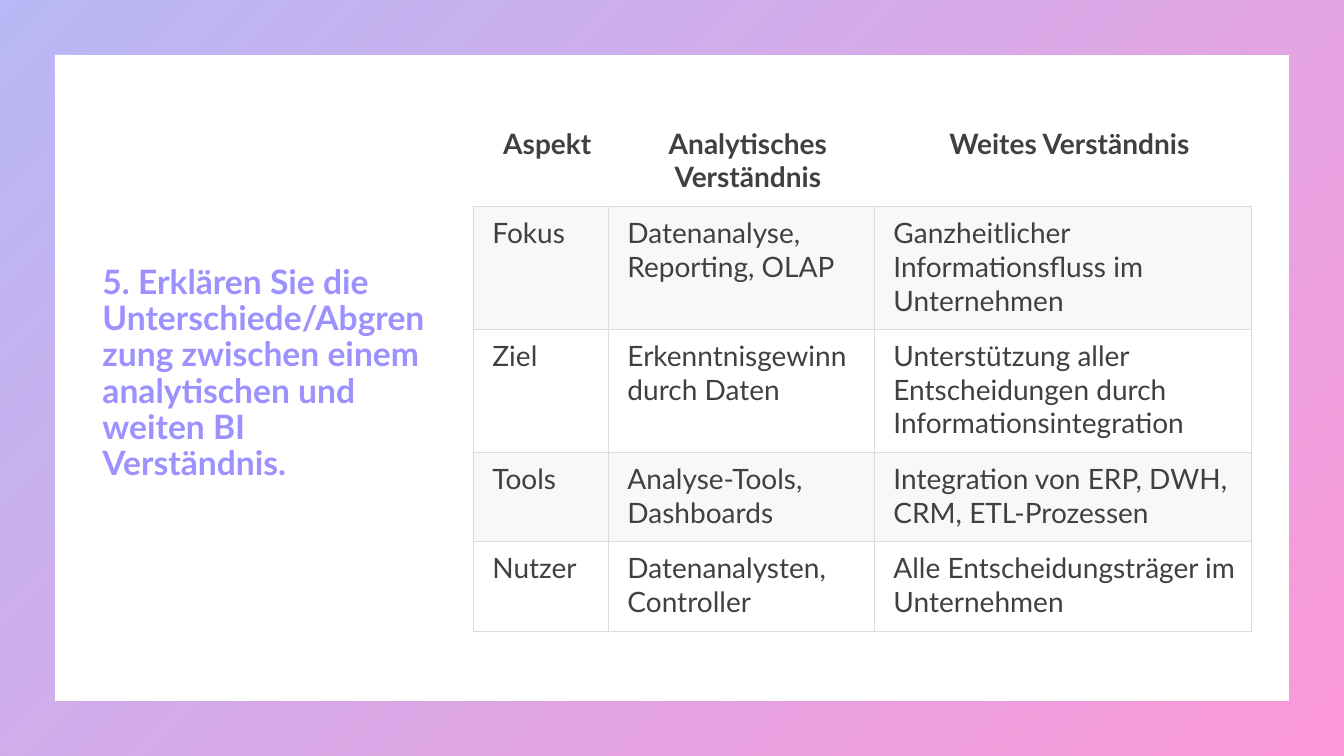
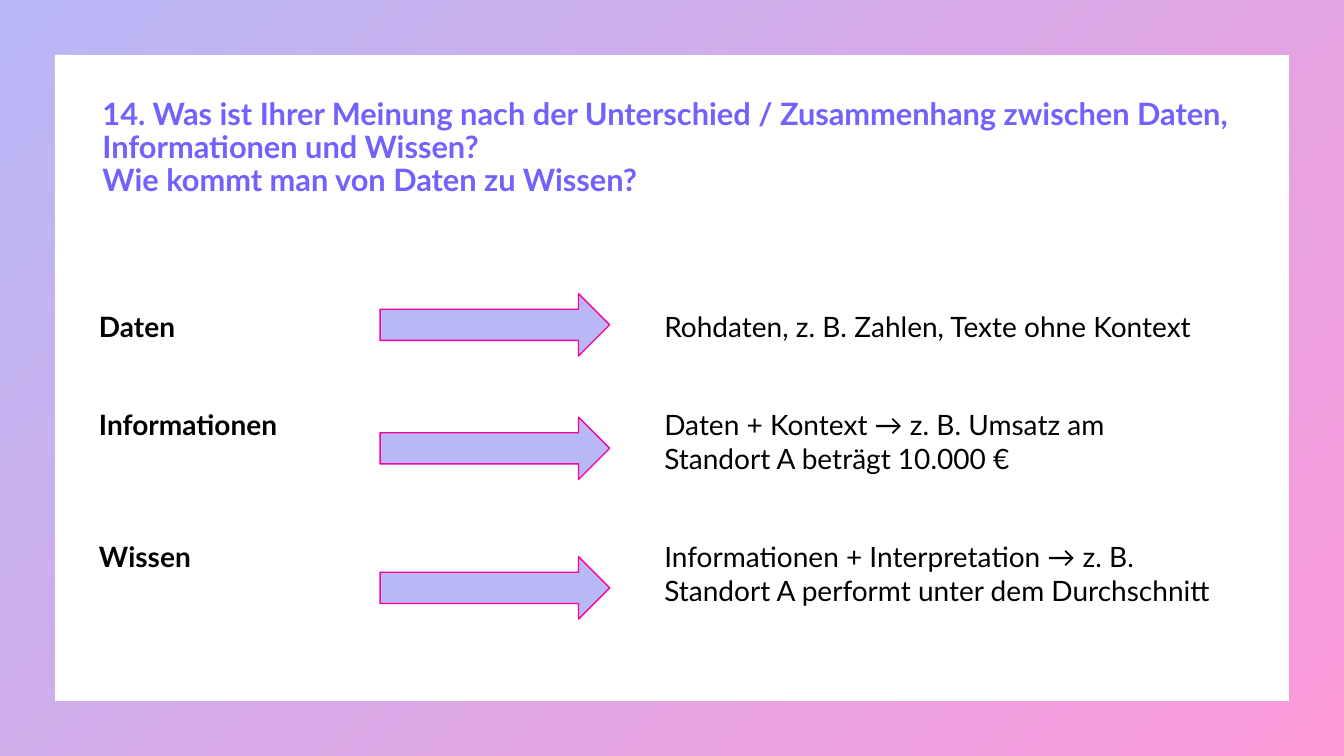
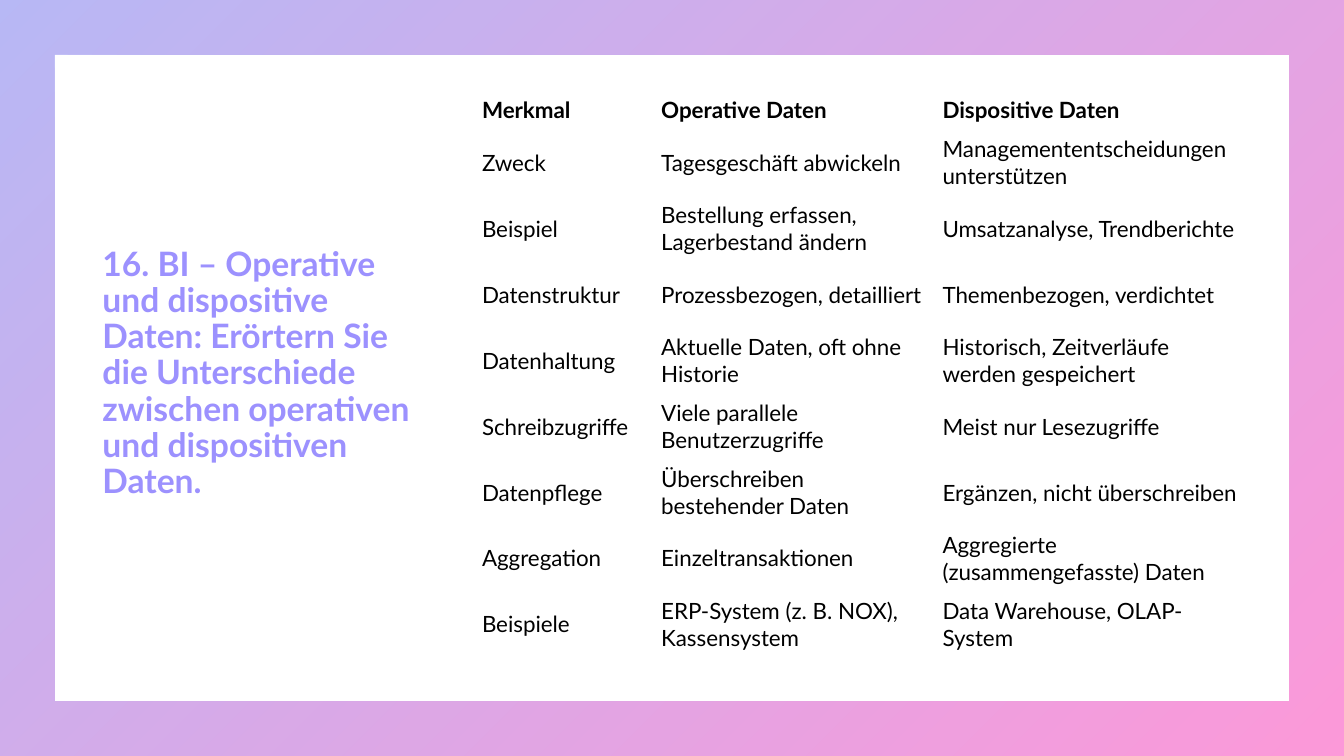
from lxml.etree import SubElement
from pptx import Presentation
from pptx.dml.color import RGBColor
from pptx.enum.shapes import MSO_SHAPE
from pptx.enum.text import MSO_ANCHOR, MSO_AUTO_SIZE, PP_ALIGN
from pptx.oxml.ns import qn
from pptx.util import Pt

FONT = "Lato"
WIDTH, HEIGHT = 960, 540
TITLE_ONLY = 5
COLORS = {
    "indigo": "4D4EE6",
    "magenta": "F900A0",
    "lavender": "B8B8F5",
    "title": "7162FE",
    "title_light": "9C91FE",
    "black": "000000",
    "charcoal": "404040",
    "grid": "D8DCDC",
    "band": "F7F8F8",
}
SIDE_TITLE = (66, 48, 252, 438.3)
TOP_TITLE = (66, 53.7, 828, 104.5)

UNDERSTANDING = [
    ("Aspekt", "Analytisches Verständnis", "Weites Verständnis"),
    ("Fokus", "Datenanalyse, Reporting, OLAP",
     "Ganzheitlicher Informationsfluss im Unternehmen"),
    ("Ziel", "Erkenntnisgewinn durch Daten",
     "Unterstützung aller Entscheidungen durch Informationsintegration"),
    ("Tools", "Analyse-Tools, Dashboards",
     "Integration von ERP, DWH, CRM, ETL-Prozessen"),
    ("Nutzer", "Datenanalysten, Controller",
     "Alle Entscheidungsträger im Unternehmen"),
]
KNOWLEDGE = [
    ("", ""),
    ("Daten", "Rohdaten, z. B. Zahlen, Texte ohne Kontext"),
    ("Informationen",
     "Daten + Kontext → z. B. Umsatz am Standort A beträgt 10.000 €"),
    ("Wissen",
     "Informationen + Interpretation → z. B. Standort A performt unter dem Durchschnitt"),
]
DATA_KINDS = [
    ("Merkmal", "Operative Daten", "Dispositive Daten"),
    ("Zweck", "Tagesgeschäft abwickeln", "Managemententscheidungen unterstützen"),
    ("Beispiel", "Bestellung erfassen, Lagerbestand ändern",
     "Umsatzanalyse, Trendberichte"),
    ("Datenstruktur", "Prozessbezogen, detailliert", "Themenbezogen, verdichtet"),
    ("Datenhaltung", "Aktuelle Daten, oft ohne Historie",
     "Historisch, Zeitverläufe werden gespeichert"),
    ("Schreibzugriffe", "Viele parallele Benutzerzugriffe", "Meist nur Lesezugriffe"),
    ("Datenpflege", "Überschreiben bestehender Daten", "Ergänzen, nicht überschreiben"),
    ("Aggregation", "Einzeltransaktionen", "Aggregierte (zusammengefasste) Daten"),
    ("Beispiele", "ERP-System (z. B. NOX), Kassensystem", "Data Warehouse, OLAP-System"),
]


def color(name):
    return RGBColor.from_string(COLORS[name])


def style_paragraph(paragraph, size, color_name, bold):
    font = paragraph.font
    font.name, font.size, font.bold = FONT, Pt(size), bold
    font.color.rgb = color(color_name)


def add_master_frame(prs, slide):
    """Draw the gradient frame and move it to the master, behind every slide."""
    frame = slide.shapes.add_shape(MSO_SHAPE.FRAME, 0, 0, Pt(WIDTH), Pt(HEIGHT))
    frame.adjustments[0] = 0.072
    frame.shadow.inherit = False
    frame.line.fill.background()
    frame.fill.gradient()
    frame.fill.gradient_angle = 315
    for stop, name in zip(frame.fill.gradient_stops, ("indigo", "magenta")):
        stop.color.rgb = color(name)
    for tint in frame.element.spPr.iter(qn("a:srgbClr")):
        SubElement(tint, qn("a:alpha"), val="40000")
    prs.slide_master.shapes.element.insert(2, frame.element)


def set_title(slide, text, box, size, color_name):
    title = slide.shapes.title
    title.left, title.top, title.width, title.height = map(Pt, box)
    frame = title.text_frame
    frame.text = text
    frame.word_wrap = True
    frame.auto_size = MSO_AUTO_SIZE.NONE
    frame.vertical_anchor = MSO_ANCHOR.MIDDLE
    for paragraph in frame.paragraphs:
        paragraph.alignment = PP_ALIGN.LEFT
        paragraph.line_spacing = 0.9
        style_paragraph(paragraph, size, color_name, True)


def add_table(slide, content, left, top, widths, heights, insets, size,
              color_name="black", anchor=MSO_ANCHOR.TOP):
    """Add a plain table with a bold first row; insets run left, top, right, bottom."""
    table = slide.shapes.add_table(
        len(heights), len(widths), Pt(left), Pt(top),
        Pt(sum(widths)), Pt(sum(heights))).table
    table.first_row = table.horz_banding = False
    for column, width in zip(table.columns, widths):
        column.width = Pt(width)
    for r, (row, height, texts) in enumerate(zip(table.rows, heights, content)):
        row.height = Pt(height)
        for cell, text in zip(row.cells, texts):
            cell.text = text
            cell.fill.background()
            cell.vertical_anchor = anchor
            (cell.margin_left, cell.margin_top,
             cell.margin_right, cell.margin_bottom) = map(Pt, insets)
            style_paragraph(cell.text_frame.paragraphs[0], size, color_name, r == 0)
    return table


def set_borders(cell, sides):
    properties = cell._tc.get_or_add_tcPr()
    for index, side in enumerate(sides):
        line = SubElement(properties, qn(f"a:ln{side}"), w=str(Pt(0.75)))
        fill = SubElement(line, qn("a:solidFill"))
        SubElement(fill, qn("a:srgbClr"), val=COLORS["grid"])
        properties.insert(index, line)


def add_grid(table):
    """Centre the header, rule the body and tint every other body row."""
    for r, row in enumerate(table.rows):
        for cell in row.cells:
            set_borders(cell, "LRTB" if r else "B")
            if r == 0:
                cell.text_frame.paragraphs[0].alignment = PP_ALIGN.CENTER
            elif r % 2:
                cell.fill.solid()
                cell.fill.fore_color.rgb = color("band")


def add_arrow(slide, top):
    arrow = slide.shapes.add_shape(
        MSO_SHAPE.RIGHT_ARROW, Pt(271.5), Pt(top), Pt(164), Pt(44.5))
    arrow.shadow.inherit = False
    arrow.fill.solid()
    arrow.fill.fore_color.rgb = color("lavender")
    arrow.line.color.rgb = color("magenta")
    arrow.line.width = Pt(1)


def build_understanding(slide):
    set_title(slide, "5. Erklären Sie die Unterschiede/Abgrenzung zwischen einem "
              "analytischen und weiten BI Verständnis.", SIDE_TITLE, 24, "title_light")
    aspects = add_table(slide, UNDERSTANDING, 338.2, 83.5, (96.5, 190, 269.3),
                        (63.9, 87.8, 87.8, 63.9, 63.9), (13.5, 6.75, 4.5, 6.75),
                        20, "charcoal")
    add_grid(aspects)


def build_knowledge(slide):
    set_title(slide, "14. Was ist Ihrer Meinung nach der Unterschied / Zusammenhang "
              "zwischen Daten, Informationen und Wissen?\n"
              "Wie kommt man von Daten zu Wissen?", TOP_TITLE, 22, "title")
    steps = add_table(slide, KNOWLEDGE, 65.7, 178, (403.8, 403.8),
                      (38, 70.5, 94, 105), (5, 5, 5, 5), 20)
    for row in steps.rows:
        row.cells[0].text_frame.paragraphs[0].font.bold = True
    for top in (209.8, 298, 397.7):
        add_arrow(slide, top)


def build_data_kinds(slide):
    set_title(slide, "16. BI – Operative und dispositive Daten: Erörtern Sie die "
              "Unterschiede zwischen operativen und dispositiven Daten.",
              SIDE_TITLE, 24, "title_light")
    add_table(slide, DATA_KINDS, 337.8, 64.6, (128, 201, 227), [28] + [47.13] * 8,
              (6.5, 3, 6.5, 3), 16, anchor=MSO_ANCHOR.MIDDLE)


def main():
    prs = Presentation()
    prs.slide_width, prs.slide_height = Pt(WIDTH), Pt(HEIGHT)
    builders = (build_understanding, build_knowledge, build_data_kinds)
    for number, build in enumerate(builders):
        slide = prs.slides.add_slide(prs.slide_layouts[TITLE_ONLY])
        if number == 0:
            add_master_frame(prs, slide)
        build(slide)
    prs.save("out.pptx")


if __name__ == "__main__":
    main()
